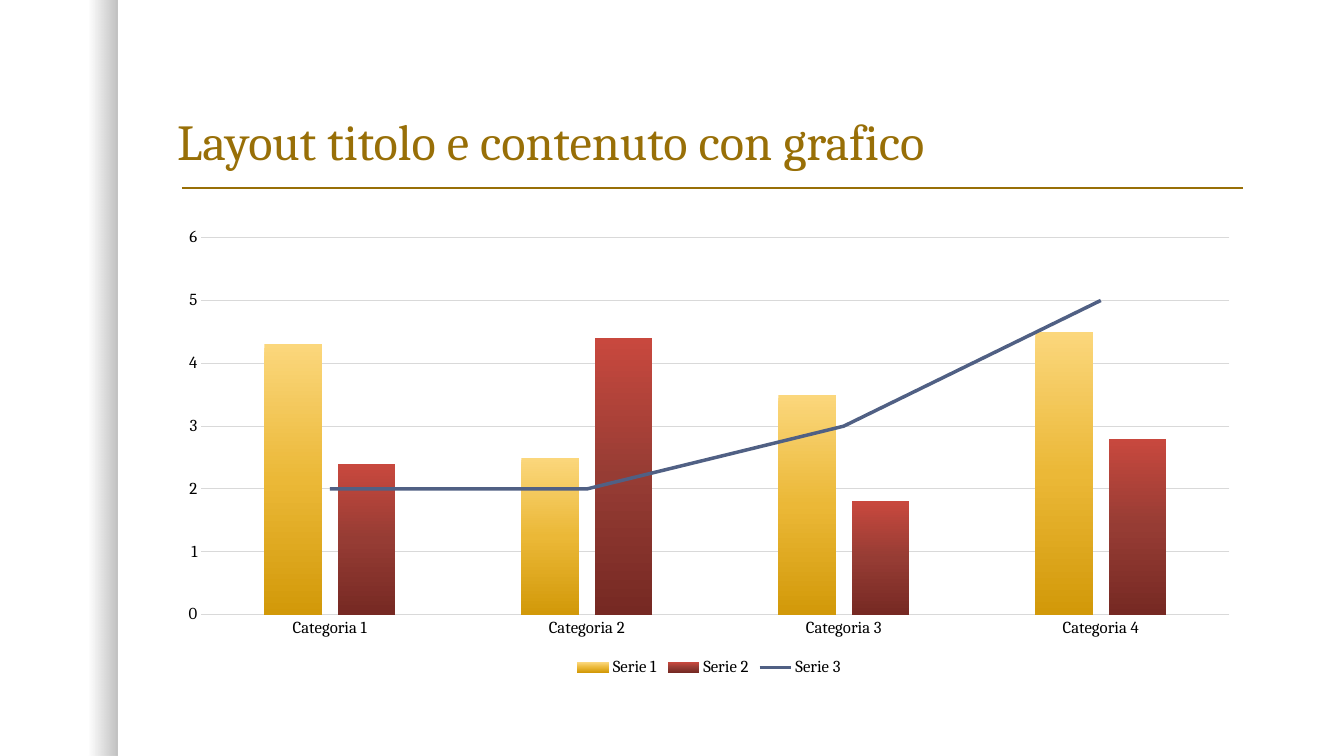
from lxml import etree
from pptx import Presentation
from pptx.chart.data import CategoryChartData
from pptx.dml.color import RGBColor
from pptx.enum.chart import XL_CHART_TYPE, XL_LEGEND_POSITION, XL_MARKER_STYLE, XL_TICK_MARK
from pptx.enum.shapes import MSO_CONNECTOR, MSO_SHAPE
from pptx.enum.text import MSO_ANCHOR, MSO_AUTO_SIZE, PP_ALIGN
from pptx.oxml import parse_xml
from pptx.oxml.ns import nsdecls, qn
from pptx.util import Pt

PX = 914400 / 100.8
FONT = "Cambria"
COLUMNS = XL_CHART_TYPE.COLUMN_CLUSTERED
BOTTOM_LEGEND = XL_LEGEND_POSITION.BOTTOM
NO_MARKER = XL_MARKER_STYLE.NONE
NO_TICK = XL_TICK_MARK.NONE
STRAIGHT = MSO_CONNECTOR.STRAIGHT
RECTANGLE = MSO_SHAPE.RECTANGLE
ANCHOR_BOTTOM = MSO_ANCHOR.BOTTOM
NO_AUTOFIT = MSO_AUTO_SIZE.NONE
LEFT = PP_ALIGN.LEFT

BLACK = RGBColor(0x00, 0x00, 0x00)
OCHRE = RGBColor(0x98, 0x6F, 0x07)
GRID_GRAY = RGBColor(0xD9, 0xD9, 0xD9)
LINE_BLUE = RGBColor(0x50, 0x60, 0x84)
# Gradient stops: position %, colour, opacity %
EDGE_SHADOW = [(75, BLACK, 0), (100, BLACK, 25)]
YELLOW = [(0, RGBColor(0xFB, 0xD7, 0x7C), 100),
          (50, RGBColor(0xEB, 0xB8, 0x37), 100),
          (100, RGBColor(0xD2, 0x99, 0x09), 100)]
RED = [(0, RGBColor(0xC8, 0x48, 0x3E), 100),
       (50, RGBColor(0x96, 0x3C, 0x34), 100),
       (100, RGBColor(0x76, 0x29, 0x23), 100)]

CATEGORIES = [f"Categoria {number}" for number in range(1, 5)]
SERIES = {
    "Serie 1": (4.3, 2.5, 3.5, 4.5),
    "Serie 2": (2.4, 4.4, 1.8, 2.8),
    "Serie 3": (2, 2, 3, 5),
}


def px(*lengths):
    return [round(length * PX) for length in lengths]


def fill_gradient(fill, element, stops, angle):
    """Apply a gradient with any number of stops to the fill of an element."""
    fill.gradient()
    fill.gradient_angle = angle
    stop_list = next(element.iter(qn("a:gsLst")))
    for stop in list(stop_list):
        stop_list.remove(stop)
    for position, color, opacity in stops:
        stop = etree.SubElement(stop_list, qn("a:gs"), pos=str(position * 1000))
        rgb = etree.SubElement(stop, qn("a:srgbClr"), val=str(color))
        if opacity < 100:
            etree.SubElement(rgb, qn("a:alpha"), val=str(opacity * 1000))


def style_font(font, size, color):
    font.name = FONT
    font.size = Pt(size)
    font.color.rgb = color


def style_line(line, color, width):
    line.color.rgb = color
    line.width = Pt(width)


def add_edge_band(slide, left, top, width, height):
    band = slide.shapes.add_shape(RECTANGLE, *px(left, top, width, height))
    band.shadow.inherit = False
    band.line.fill.background()
    fill_gradient(band.fill, band._element, EDGE_SHADOW, 0)


def add_title(slide, left, top, width, height):
    title = slide.shapes.title
    title.left, title.top, title.width, title.height = px(left, top, width, height)
    frame = title.text_frame
    frame.word_wrap = True
    frame.auto_size = NO_AUTOFIT
    frame.vertical_anchor = ANCHOR_BOTTOM
    paragraph = frame.paragraphs[0]
    paragraph.alignment = LEFT
    paragraph.line_spacing = 0.9
    run = paragraph.add_run()
    run.text = "Layout titolo e contenuto con grafico"
    style_font(run.font, 36, OCHRE)

    # Rule under the title
    rule_y = top + height + 12
    rule = slide.shapes.add_connector(
        STRAIGHT, *px(left + 15, rule_y, left + width - 8, rule_y))
    style_line(rule.line, OCHRE, 1)
    etree.SubElement(rule._element.spPr, qn("a:effectLst"))


def move_last_series_to_line(chart):
    """Draw the last column series as a line on the same axes."""
    bar_plot = next(chart._chartSpace.iter(qn("c:barChart")))
    series = bar_plot.findall(qn("c:ser"))[-1]
    for bar_setting in series.findall(qn("c:invertIfNegative")):
        series.remove(bar_setting)
    line_plot = parse_xml(
        f'<c:lineChart {nsdecls("c")}><c:grouping val="standard"/>'
        '<c:varyColors val="0"/><c:marker val="1"/></c:lineChart>')
    line_plot.insert(2, series)
    for axis in bar_plot.findall(qn("c:axId")):
        etree.SubElement(line_plot, qn("c:axId"), val=axis.get("val"))
    bar_plot.addnext(line_plot)


def add_combined_chart(slide, left, top, width, height):
    data = CategoryChartData()
    data.categories = CATEGORIES
    for name, values in SERIES.items():
        data.add_series(name, values)
    chart = slide.shapes.add_chart(COLUMNS, *px(left, top, width, height), data).chart
    chart.has_title = False
    style_font(chart.font, 12, BLACK)
    move_last_series_to_line(chart)

    # Columns and line
    columns, line = chart.plots
    columns.vary_by_categories = False
    columns.gap_width = 219
    columns.overlap = -27
    for series, stops in zip(columns.series, (YELLOW, RED)):
        fill_gradient(series.format.fill, series._element, stops, 270)
    trend = line.series[0]
    trend.smooth = False
    trend.marker.style = NO_MARKER
    style_line(trend.format.line, LINE_BLUE, 2.5)

    # Axes
    for axis in (chart.category_axis, chart.value_axis):
        axis.major_tick_mark = axis.minor_tick_mark = NO_TICK
        style_font(axis.tick_labels.font, 12, BLACK)
    style_line(chart.category_axis.format.line, GRID_GRAY, 0.75)
    values_axis = chart.value_axis
    values_axis.minimum_scale = 0
    values_axis.maximum_scale = 6
    values_axis.major_unit = 1
    values_axis.format.line.fill.background()
    style_line(values_axis.major_gridlines.format.line, GRID_GRAY, 0.75)

    # Legend
    chart.has_legend = True
    chart.legend.position = BOTTOM_LEGEND
    chart.legend.include_in_layout = False
    style_font(chart.legend.font, 12, BLACK)


def main():
    presentation = Presentation()
    presentation.slide_width, presentation.slide_height = px(1344, 756)
    slide = presentation.slides.add_slide(presentation.slide_layouts.get_by_name("Title Only"))
    add_edge_band(slide, 0, 0, 117, 756)
    add_title(slide, 167, 42, 1084, 134)
    add_combined_chart(slide, 167, 219, 1084, 462)
    presentation.save("out.pptx")


if __name__ == "__main__":
    main()
